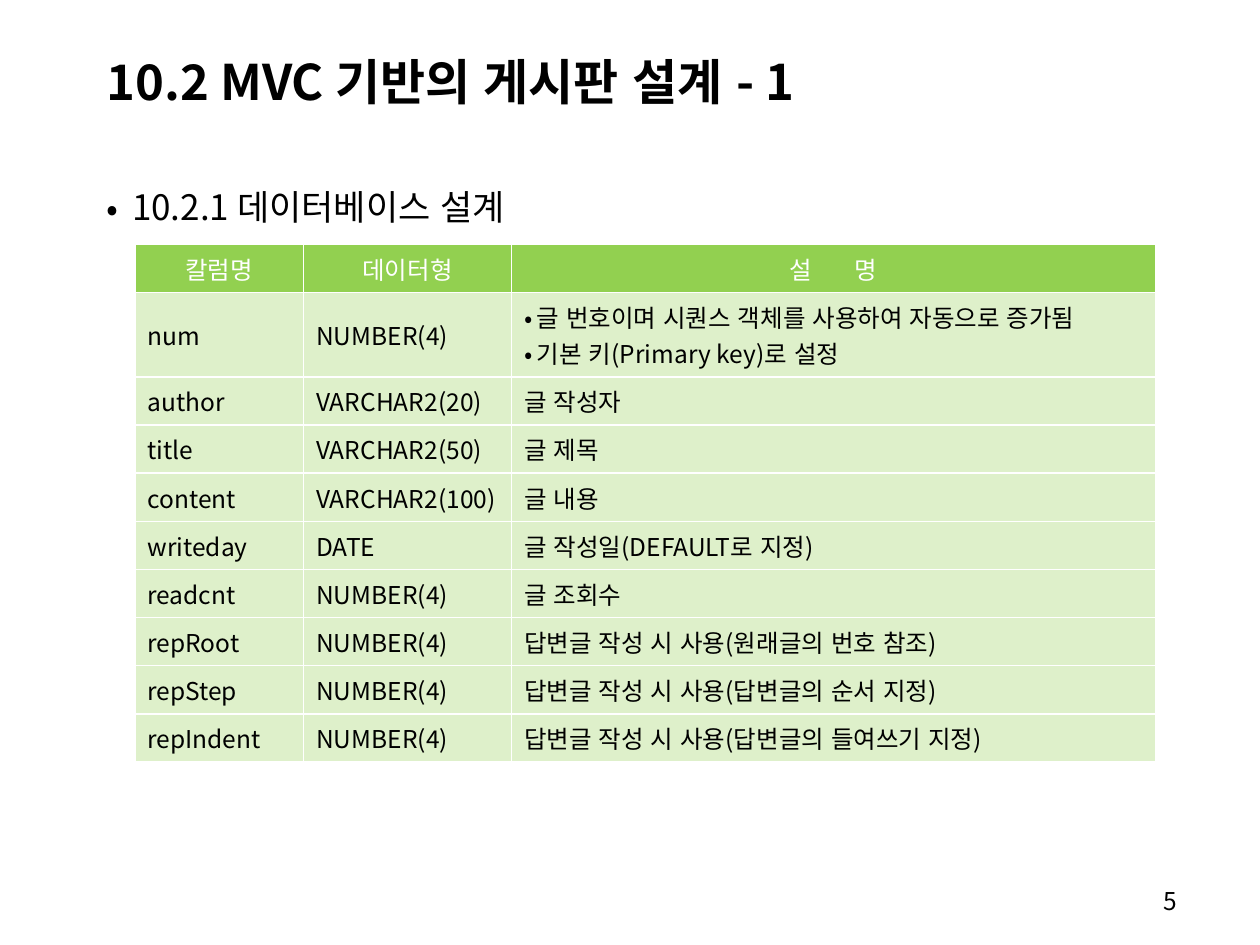
from lxml import etree
from pptx import Presentation
from pptx.dml.color import RGBColor
from pptx.enum.lang import MSO_LANGUAGE_ID
from pptx.enum.text import MSO_ANCHOR, PP_ALIGN
from pptx.oxml.ns import qn
from pptx.util import Inches, Pt

LEFT, CENTER, RIGHT = PP_ALIGN.LEFT, PP_ALIGN.CENTER, PP_ALIGN.RIGHT
TOP, MIDDLE = MSO_ANCHOR.TOP, MSO_ANCHOR.MIDDLE
KOREAN = MSO_LANGUAGE_ID.KOREAN
FONT = "Noto Sans CJK KR"
COLORS = {"text": "000000", "white": "FFFFFF", "green": "92D050"}

COLUMN_WIDTHS = [1.34, 1.65, 5.11]
TABLE_HEIGHT, KEY_ROW_HEIGHT = 4.11, 0.67
HEADINGS = ["칼럼명", "데이터형", "설 명"]
FIELDS = [
    ("num", "NUMBER(4)", ["글 번호이며 시퀀스 객체를 사용하여 자동으로 증가됨",
                          "기본 키(Primary key)로 설정"]),
    ("author", "VARCHAR2(20)", ["글 작성자"]),
    ("title", "VARCHAR2(50)", ["글 제목"]),
    ("content", "VARCHAR2(100)", ["글 내용"]),
    ("writeday", "DATE", ["글 작성일(DEFAULT로 지정)"]),
    ("readcnt", "NUMBER(4)", ["글 조회수"]),
    ("repRoot", "NUMBER(4)", ["답변글 작성 시 사용(원래글의 번호 참조)"]),
    ("repStep", "NUMBER(4)", ["답변글 작성 시 사용(답변글의 순서 지정)"]),
    ("repIndent", "NUMBER(4)", ["답변글 작성 시 사용(답변글의 들여쓰기 지정)"]),
]


def style_paragraph(paragraph, size, color="text", align=LEFT, bold=False):
    paragraph.alignment = align
    font = paragraph.font
    font.size, font.bold, font.name = Pt(size), bold, FONT
    font.color.rgb = RGBColor.from_string(COLORS[color])
    # Korean letters take the East Asian typeface
    defaults = paragraph._p.pPr.find(qn("a:defRPr"))
    etree.SubElement(defaults, qn("a:ea"), typeface=FONT)
    for run in paragraph.runs:
        run.font.language_id = KOREAN


def hang(paragraph, indent, bullet=False):
    properties = paragraph._p.get_or_add_pPr()
    properties.set("marL", str(Inches(indent)))
    properties.set("indent", str(-Inches(indent)))
    if bullet:
        defaults = properties.find(qn("a:defRPr"))
        defaults.addprevious(etree.Element(qn("a:buFont"), typeface=FONT))
        defaults.addprevious(etree.Element(qn("a:buChar"), char="•"))


def add_text(slide, text, box, size, anchor=TOP, **style):
    frame = slide.shapes.add_textbox(*map(Inches, box)).text_frame
    frame.word_wrap = True
    frame.vertical_anchor = anchor
    paragraph = frame.paragraphs[0]
    paragraph.text = text
    style_paragraph(paragraph, size, **style)
    return paragraph


def format_cell(cell, alpha=100):
    cell.vertical_anchor = MIDDLE
    cell.fill.solid()
    cell.fill.fore_color.rgb = RGBColor.from_string(COLORS["green"])
    properties = cell._tc.get_or_add_tcPr()
    fill = properties.find(qn("a:solidFill"))
    if alpha < 100:
        etree.SubElement(fill[0], qn("a:alpha"), val=str(alpha * 1000))
    # Borders come before the fill
    for side in "LRTB":
        border = etree.Element(qn(f"a:ln{side}"), w=str(Pt(1)))
        paint = etree.SubElement(border, qn("a:solidFill"))
        etree.SubElement(paint, qn("a:srgbClr"), val=COLORS["white"])
        fill.addprevious(border)


def fill_heading(cell, heading):
    format_cell(cell)
    paragraph = cell.text_frame.paragraphs[0]
    first, space, last = heading.partition(" ")
    run = paragraph.add_run()
    run.text = first + space
    if space:
        # Letter spacing spreads the two syllables apart
        run._r.get_or_add_rPr().set("spc", "1000")
        paragraph.add_run().text = last
    style_paragraph(paragraph, 14, color="white", align=CENTER)


def fill_field(cell, lines, hanging):
    format_cell(cell, alpha=30)
    frame = cell.text_frame
    frame.text = "\n".join(lines)
    for paragraph in frame.paragraphs:
        style_paragraph(paragraph, 14)
        if hanging:
            hang(paragraph, 0.1, bullet=len(lines) > 1)


def add_schema_table(slide):
    # The key row holds two lines; the heading and other fields share the rest
    row_height = (TABLE_HEIGHT - KEY_ROW_HEIGHT) / len(FIELDS)
    heights = [row_height, KEY_ROW_HEIGHT] + [row_height] * (len(FIELDS) - 1)
    table = slide.shapes.add_table(
        len(heights), len(COLUMN_WIDTHS), Inches(1.07), Inches(1.94),
        Inches(sum(COLUMN_WIDTHS)), Inches(TABLE_HEIGHT)).table
    for column, width in zip(table.columns, COLUMN_WIDTHS):
        column.width = Inches(width)
    for row, height in zip(table.rows, heights):
        row.height = Inches(height)
    for col, heading in enumerate(HEADINGS):
        fill_heading(table.cell(0, col), heading)
    for row, (name, data_type, notes) in enumerate(FIELDS, start=1):
        for col, lines in enumerate([[name], [data_type], notes]):
            fill_field(table.cell(row, col), lines, hanging=col > 0)


def main():
    presentation = Presentation()
    presentation.slide_width, presentation.slide_height = Inches(10), Inches(7.5)
    slide = presentation.slides.add_slide(presentation.slide_layouts[6])

    # Title and section heading
    add_text(slide, "10.2 MVC 기반의 게시판 설계 - 1", (0.75, 0.13, 9.25, 1.02),
             28, anchor=MIDDLE, bold=True)
    section = add_text(slide, "10.2.1 데이터베이스 설계", (0.75, 1.42, 8.73, 5.33), 20)
    hang(section, 0.2, bullet=True)

    # Database columns
    add_schema_table(slide)

    # Page number
    add_text(slide, "5", (7.36, 6.98, 2.08, 0.35), 14, align=RIGHT)

    presentation.save("out.pptx")


if __name__ == "__main__":
    main()
